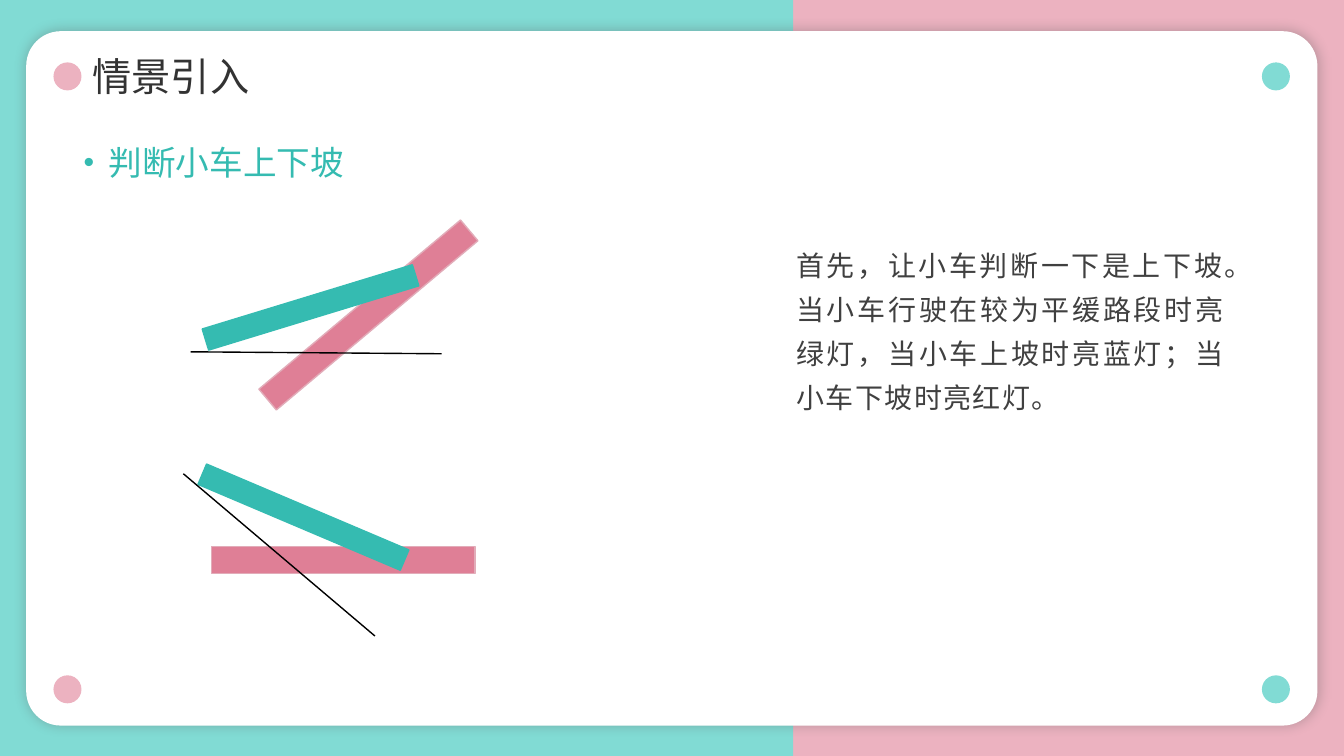
from dataclasses import dataclass
from itertools import product

from lxml import etree
from pptx import Presentation
from pptx.dml.color import RGBColor
from pptx.enum.shapes import MSO_CONNECTOR, MSO_SHAPE
from pptx.enum.text import MSO_ANCHOR, MSO_AUTO_SIZE, PP_ALIGN
from pptx.oxml.ns import qn
from pptx.util import Pt

RECT, ROUND, OVAL = MSO_SHAPE.RECTANGLE, MSO_SHAPE.ROUNDED_RECTANGLE, MSO_SHAPE.OVAL
STRAIGHT = MSO_CONNECTOR.STRAIGHT
MIDDLE, TOP = MSO_ANCHOR.MIDDLE, MSO_ANCHOR.TOP
LEFT, JUSTIFY = PP_ALIGN.LEFT, PP_ALIGN.JUSTIFY
NO_FIT = MSO_AUTO_SIZE.NONE

MINT, ROSE = "81DBD4", "ECB2C0"
TEAL, PINK, EDGE = "35BBB1", "DF7F96", "E2ACB9"
CJK = "Noto Sans CJK SC"


@dataclass
class Bar:
    """A rotated bar given by its centre."""
    x: float
    y: float
    wide: float
    long: float
    turn: float
    fill: str
    edge: str


@dataclass
class Slope:
    bars: list[Bar]
    line: tuple[float, float, float, float]


@dataclass
class Words:
    text: str
    box: tuple[float, float, float, float]
    inset: tuple[float, float]
    font: str
    size: float
    color: str
    lead: float = 1.0
    align: PP_ALIGN = JUSTIFY
    anchor: MSO_ANCHOR = TOP
    bullet: bool = False
    space: float = 0


def rgb(color: str) -> RGBColor:
    return RGBColor.from_string(color)


def node(parent, tag: str, **attrs):
    """Append an XML element with the given attributes."""
    return etree.SubElement(parent, qn(tag), {k: str(v) for k, v in attrs.items()})


def block(shapes, kind: MSO_SHAPE, box: tuple, fill: str, edge: str = ""):
    shape = shapes.add_shape(kind, *map(Pt, box))
    shape.shadow.inherit = False
    shape.fill.solid()
    shape.fill.fore_color.rgb = rgb(fill)
    if edge:
        shape.line.color.rgb = rgb(edge)
        shape.line.width = Pt(1)
    else:
        shape.line.fill.background()
    return shape


def glow(shape) -> None:
    """Give the panel its soft outer shadow."""
    effects = shape.element.spPr.find(qn("a:effectLst"))
    outer = node(effects, "a:outerShdw", blurRad=Pt(9), dist=Pt(1), dir=0, rotWithShape=0)
    color = node(outer, "a:srgbClr", val="595959")
    node(color, "a:alpha", val=36000)


def write(shape, words: Words) -> None:
    """Place a text shape and format its single paragraph."""
    for key, val in zip(("left", "top", "width", "height"), words.box):
        setattr(shape, key, Pt(val))
    frame = shape.text_frame
    side, end = map(Pt, words.inset)
    style = {"margin_left": side, "margin_right": side, "margin_top": end,
             "margin_bottom": end, "word_wrap": True, "auto_size": NO_FIT,
             "vertical_anchor": words.anchor}
    for key, val in style.items():
        setattr(frame, key, val)

    para = frame.paragraphs[0]
    para.alignment, para.line_spacing = words.align, words.lead
    if words.bullet:
        props = para._p.get_or_add_pPr()
        props.set("marL", str(Pt(18)))
        props.set("indent", str(Pt(-23)))
        node(props, "a:buSzPct", val=90000)
        node(props, "a:buFont", typeface="Arial")
        node(props, "a:buChar", char="•")
    run = para.add_run()
    run.text = words.text
    for key, val in {"name": words.font, "size": Pt(words.size), "bold": False}.items():
        setattr(run.font, key, val)
    run.font.color.rgb = rgb(words.color)
    props = run._r.get_or_add_rPr()
    props.set("lang", "zh-CN")
    if words.space:
        props.set("spc", str(int(words.space * 100)))
    node(props, "a:ea", typeface=CJK)


def draw(shapes, slope: Slope) -> None:
    """Draw the two bars and the line of a slope as one group."""
    group = shapes.add_group_shape().shapes
    for bar in slope.bars:
        box = (bar.x - bar.wide / 2, bar.y - bar.long / 2, bar.wide, bar.long)
        block(group, RECT, box, bar.fill, bar.edge).rotation = bar.turn
    line = group.add_connector(STRAIGHT, *map(Pt, slope.line))
    line.line.color.rgb = rgb("000000")
    line.line.width = Pt(1)
    node(line.element.spPr, "a:effectLst")


def road(x: float, y: float, turn: float) -> Bar:
    return Bar(x, y, 19.4, 188, turn, PINK, EDGE)


def car(x: float, y: float, turn: float) -> Bar:
    return Bar(x, y, 15.8, 157, turn, TEAL, TEAL)


TITLE = Words("情景引入", (66.2, 37.4, 402.5, 37.4), (0, 3.6), "Montserrat", 28,
              "333333", 0.9, LEFT, MIDDLE)
NOTES = [
    Words("判断小车上下坡", (52.6, 97.9, 614, 36), (7.2, 3.6), "Arial", 24, TEAL,
          bullet=True),
    Words("首先，让小车判断一下是上下坡。当小车行驶在较为平缓路段时亮绿灯，"
          "当小车上坡时亮蓝灯；当小车下坡时亮红灯。",
          (568.8, 170.6, 306, 126), (0, 0), CJK, 20, "404040", 1.3, space=1),
]
SLOPES = [
    Slope([road(263.2, 225, 50), car(221.8, 219.6, 73)], (136.1, 251.3, 315.4, 252.7)),
    Slope([road(245.2, 400, 90), car(216.7, 369.4, 113)], (131, 338.4, 267.8, 454.3)),
]


def main() -> None:
    deck = Presentation()
    deck.slide_width, deck.slide_height = Pt(960), Pt(540)
    slide = deck.slides.add_slide(deck.slide_layouts[5])
    shapes = slide.shapes
    back = slide.background.fill
    back.solid()
    back.fore_color.rgb = rgb(ROSE)

    block(shapes, RECT, (0, 0, 566.6, 540), MINT)
    panel = block(shapes, ROUND, (18.7, 22.3, 922.3, 496), "FFFFFF")
    panel.adjustments[0] = 0.05
    glow(panel)
    for y, (x, color) in product((44.6, 482.4), ((38.2, ROSE), (901.4, MINT))):
        block(shapes, OVAL, (x, y, 20, 20), color)

    title = shapes.title
    title.element.getparent().append(title.element)  # bring in front of the panel
    write(title, TITLE)
    for words in NOTES:
        write(shapes.add_textbox(*map(Pt, words.box)), words)
    for slope in SLOPES:
        draw(shapes, slope)
    deck.save("out.pptx")


if __name__ == "__main__":
    main()
